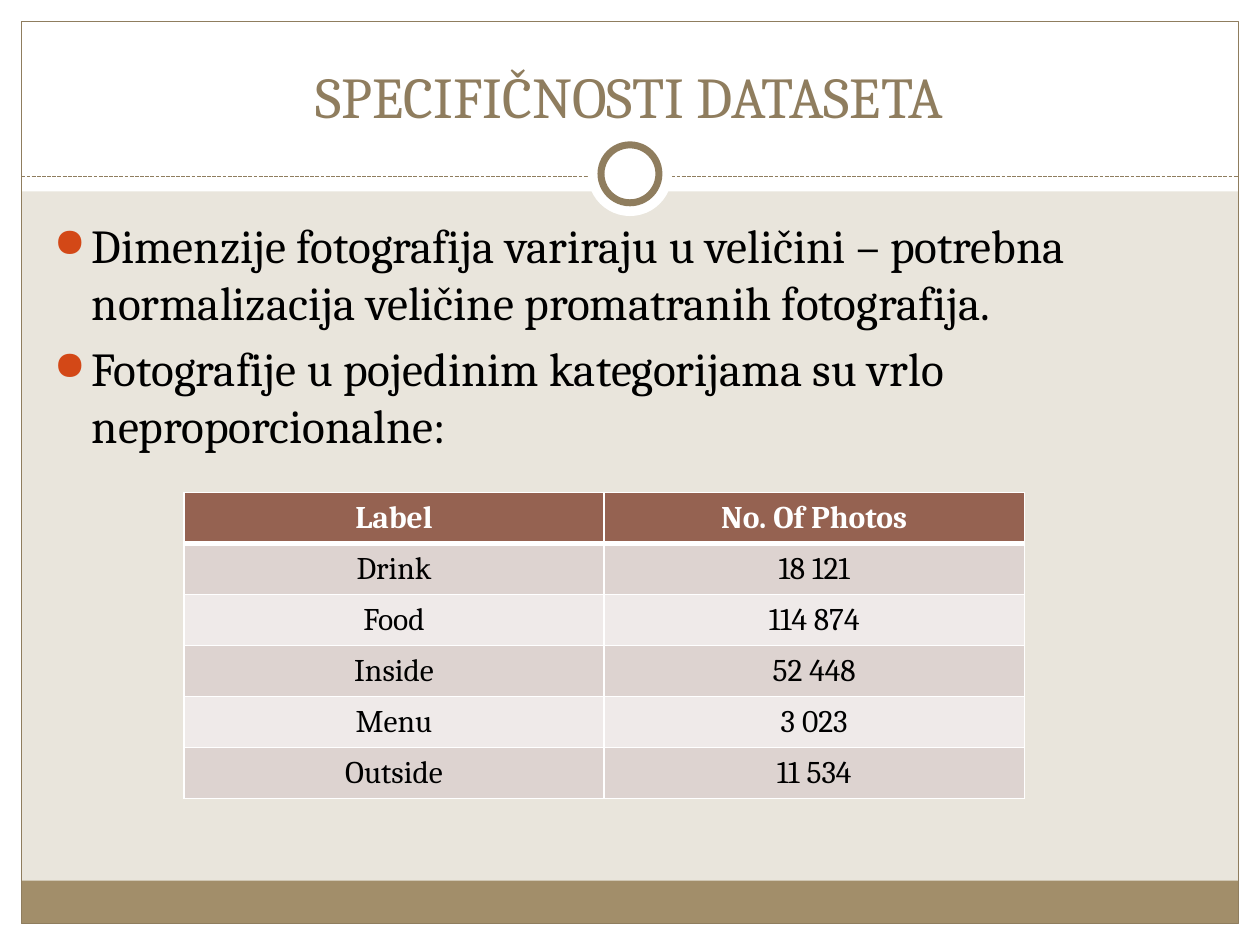
"""Build the slide on dataset specifics, with its photo count table."""
from dataclasses import dataclass

from lxml import etree
from pptx import Presentation, util as u
from pptx.dml.color import RGBColor
from pptx.enum import dml, shapes, text
from pptx.oxml.ns import qn


@dataclass(frozen=True)
class Theme:
    font: str = "Cambria"
    page: str = "E9E5DC"
    white: str = "FFFFFF"
    black: str = "000000"
    accent: str = "8F7D5E"
    footer: str = "A28E6A"
    bullet: str = "D34817"
    header: str = "956251"
    bands: tuple = ("DDD3D0", "EFEAE9")
    title_size: int = 33
    body_size: int = 27
    table_size: int = 18


THEME = Theme()
TITLE = "SPECIFIČNOSTI DATASETA"
BULLETS = [
    "Dimenzije fotografija variraju u veličini – potrebna normalizacija veličine promatranih fotografija.",
    "Fotografije u pojedinim kategorijama su vrlo neproporcionalne:",
]
ROWS = [
    ("Label", "No. Of Photos"),
    ("Drink", "18 121"),
    ("Food", "114 874"),
    ("Inside", "52 448"),
    ("Menu", "3 023"),
    ("Outside", "11 534"),
]
WIDTH, HEIGHT, MARGIN = 10, 7.5, 0.17
INNER_W, INNER_H = WIDTH - 2 * MARGIN, HEIGHT - 2 * MARGIN
RULE_Y, RING_Y = 1.4, 1.38
RECT, OVAL = shapes.MSO_SHAPE.RECTANGLE, shapes.MSO_SHAPE.OVAL


def ring_box(size):
    return WIDTH / 2 - size / 2, RING_Y - size / 2, size, size


PANELS = [
    (RECT, (0, HEIGHT - MARGIN, WIDTH, MARGIN), THEME.white, 0),
    (RECT, (0, 0, WIDTH, 1.52), THEME.white, 0),
    (RECT, (0, 0, MARGIN, HEIGHT), THEME.white, 0),
    (RECT, (WIDTH - MARGIN, 0, MARGIN, HEIGHT), THEME.white, 0),
    (RECT, (MARGIN, 6.99, INNER_W, 0.34), THEME.footer, 0),
    (RECT, (MARGIN, MARGIN, INNER_W, INNER_H), None, 0.75),
]
RINGS = [
    (OVAL, ring_box(0.67), THEME.white, 0),
    (OVAL, ring_box(0.46), THEME.white, 4),
]


def rgb(color):
    return RGBColor.from_string(color)


def inches(box):
    return [u.Inches(v) for v in box]


def add_panel(s, kind, box, fill, line):
    sp = s.shapes.add_shape(kind, *inches(box))
    sp.shadow.inherit = False
    if fill:
        sp.fill.solid()
        sp.fill.fore_color.rgb = rgb(fill)
    else:
        sp.fill.background()
    if line:
        sp.line.color.rgb = rgb(THEME.accent)
        sp.line.width = u.Pt(line)
    else:
        sp.line.fill.background()


def add_rule(s):
    ends = inches((MARGIN, RULE_Y, WIDTH - MARGIN, RULE_Y))
    cxn = s.shapes.add_connector(shapes.MSO_CONNECTOR.STRAIGHT, *ends)
    cxn.line.color.rgb = rgb(THEME.accent)
    cxn.line.width = u.Pt(0.75)
    cxn.line.dash_style = dml.MSO_LINE.SQUARE_DOT
    sp_pr = cxn.element.find(qn("p:spPr"))
    etree.SubElement(sp_pr, qn("a:effectLst"))


def add_run(p, words, size, color, bold=False):
    r = p.add_run()
    r.text = words
    r.font.name, r.font.size, r.font.bold = THEME.font, u.Pt(size), bold
    r.font.color.rgb = rgb(color)


def set_title(s):
    sp = s.shapes.title
    sp.left, sp.top, sp.width, sp.height = inches((0.33, 0.25, 9.33, 0.83))
    s.shapes.element.append(sp.element)
    tf = sp.text_frame
    tf.auto_size = text.MSO_AUTO_SIZE.NONE
    tf.vertical_anchor = text.MSO_ANCHOR.BOTTOM
    p = tf.paragraphs[0]
    p.alignment = text.PP_ALIGN.CENTER
    add_run(p, TITLE, THEME.title_size, THEME.accent)


def add_bullet(p):
    p_pr = p._p.get_or_add_pPr()
    indent = u.Inches(0.3)
    p_pr.set("marL", str(indent))
    p_pr.set("indent", str(-indent))
    color = etree.SubElement(p_pr, qn("a:buClr"))
    etree.SubElement(color, qn("a:srgbClr"), val=THEME.bullet)
    etree.SubElement(p_pr, qn("a:buSzPct"), val="85000")
    etree.SubElement(p_pr, qn("a:buChar"), char="●")


def add_body(s):
    tf = s.shapes.add_textbox(*inches((0.33, 1.67, 9.3, 2.16))).text_frame
    tf.word_wrap = True
    for i, words in enumerate(BULLETS):
        p = tf.add_paragraph() if i else tf.paragraphs[0]
        p.space_before = u.Pt(THEME.body_size * 0.2)
        add_bullet(p)
        add_run(p, words, THEME.body_size, THEME.black)


def set_borders(cell, row):
    tc_pr = cell._tc.get_or_add_tcPr()
    widths = {"L": 1, "R": 1, "T": 3 if row == 1 else 1, "B": 3 if row == 0 else 1}
    for side, width in widths.items():
        ln = etree.SubElement(tc_pr, qn(f"a:ln{side}"), w=str(u.Pt(width)))
        fill = etree.SubElement(ln, qn("a:solidFill"))
        etree.SubElement(fill, qn("a:srgbClr"), val=THEME.white)


def add_counts(s):
    box = inches((1.46, 3.91, 6.67, 2.43))
    table = s.shapes.add_table(len(ROWS), len(ROWS[0]), *box).table
    for i, row in enumerate(ROWS):
        head = i == 0
        for j, words in enumerate(row):
            cell = table.cell(i, j)
            set_borders(cell, i)
            cell.fill.solid()
            cell.fill.fore_color.rgb = rgb(THEME.header if head else THEME.bands[(i - 1) % 2])
            cell.vertical_anchor = text.MSO_ANCHOR.MIDDLE
            p = cell.text_frame.paragraphs[0]
            p.alignment = text.PP_ALIGN.CENTER
            add_run(p, words, THEME.table_size, THEME.white if head else THEME.black, head)


def main():
    prs = Presentation()
    prs.slide_width, prs.slide_height = inches((WIDTH, HEIGHT))
    s = prs.slides.add_slide(prs.slide_layouts[5])
    s.background.fill.solid()
    s.background.fill.fore_color.rgb = rgb(THEME.page)
    for panel in PANELS:
        add_panel(s, *panel)
    add_rule(s)
    for ring in RINGS:
        add_panel(s, *ring)
    set_title(s)
    add_body(s)
    add_counts(s)
    prs.save("out.pptx")


if __name__ == "__main__":
    main()
